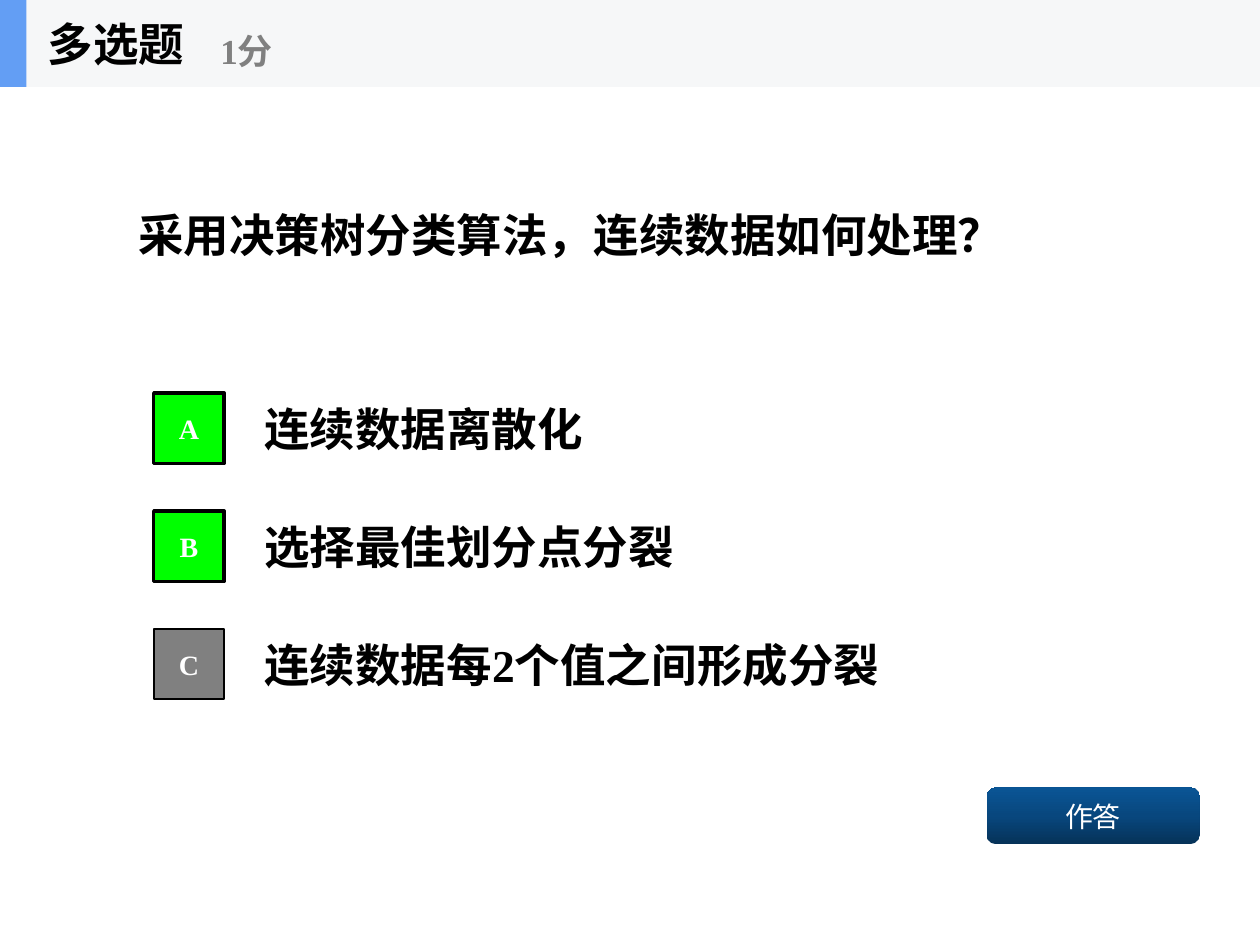
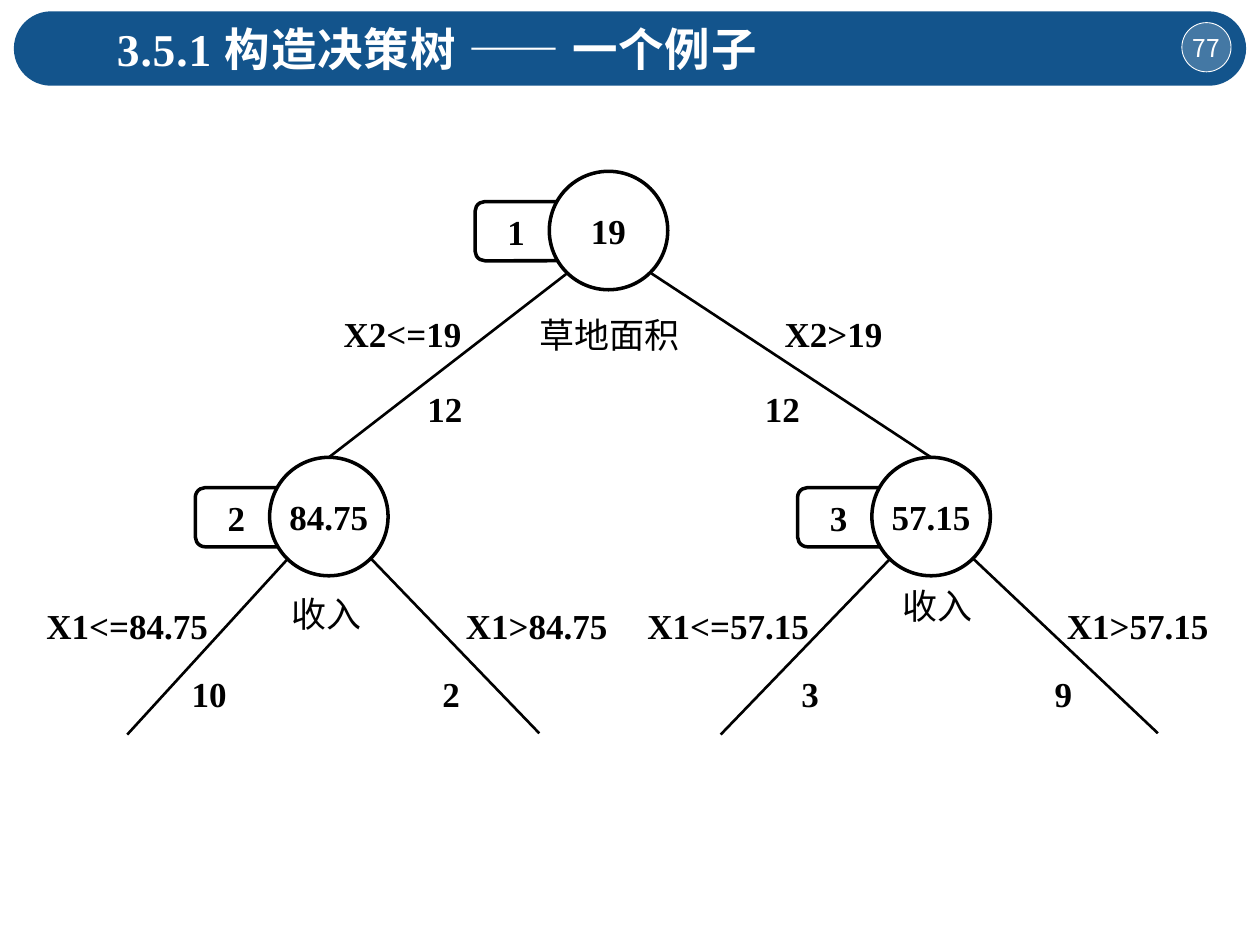
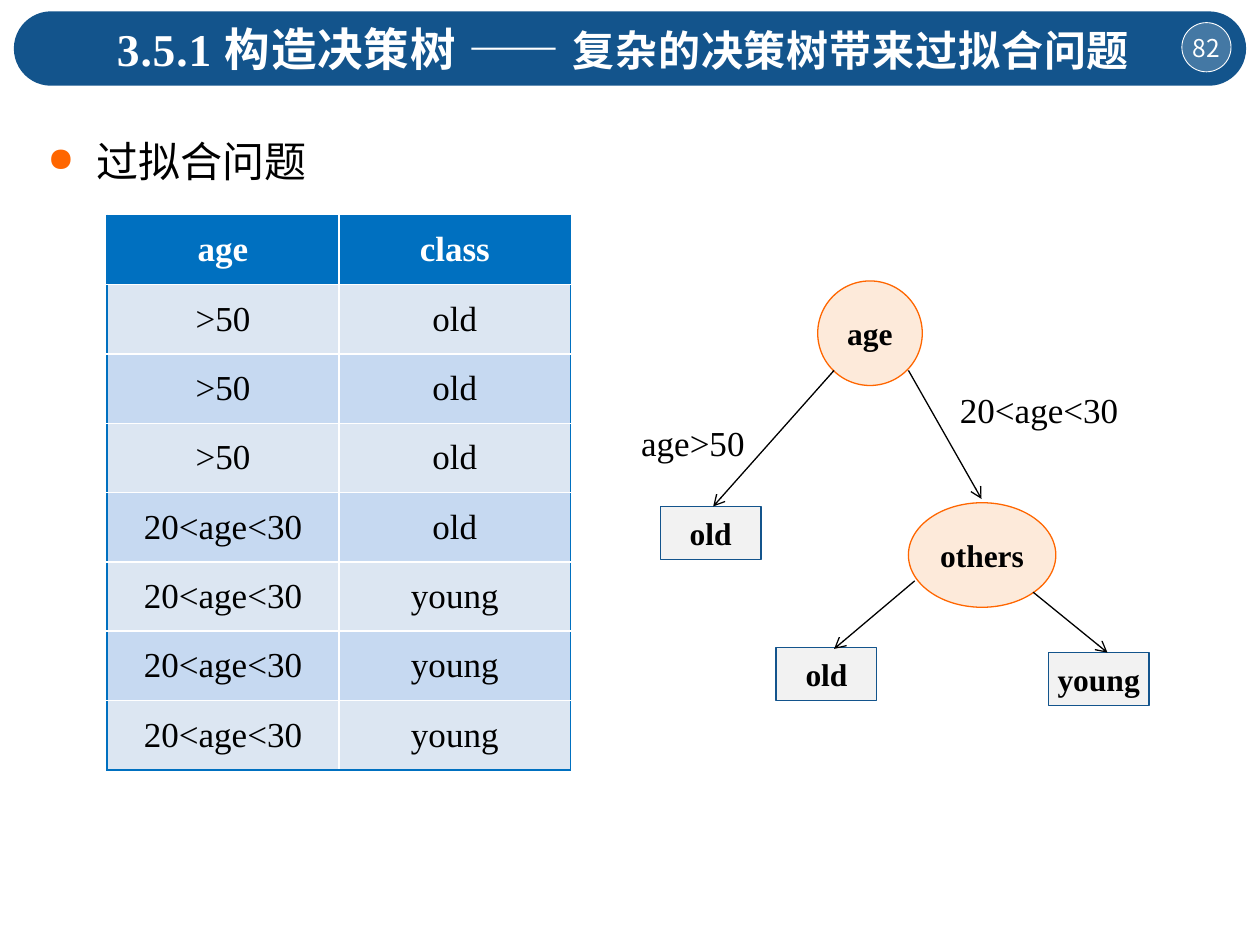
from copy import deepcopy
from dataclasses import dataclass, replace
from typing import NamedTuple, Optional

from lxml.etree import SubElement
from pptx import Presentation
from pptx.dml.color import RGBColor
from pptx.enum.shapes import MSO_CONNECTOR, MSO_SHAPE
from pptx.enum.text import MSO_ANCHOR, PP_ALIGN
from pptx.oxml.ns import qn
from pptx.util import Inches, Pt

BLACK, WHITE, GREY = "000000", "FFFFFF", "808080"
NAVY, ORANGE, TABLE_BLUE = "13548C", "FF6600", "0070C0"
GREEN, PEACH, PALE_GREY = "00FF00", "FDEADA", "F2F2F2"
ROW_BANDS = ("DCE6F2", "C6D9F1")
BUTTON_STOPS = ("063258", "08477E", "0A5595")
LATIN, CJK = "Times New Roman", "Noto Sans CJK SC"


class Box(NamedTuple):
    left: float
    top: float
    width: float
    height: float


class Point(NamedTuple):
    x: float
    y: float


@dataclass(frozen=True)
class Style:
    size: float
    bold: bool = False
    color: str = BLACK
    align: PP_ALIGN = PP_ALIGN.CENTER
    font: str = LATIN
    anchor: MSO_ANCHOR = MSO_ANCHOR.MIDDLE
    wrap: bool = True
    side_inset: float = 0.1
    spacing: float = 0


HEADING = Style(26, True, align=PP_ALIGN.LEFT)
TITLE = replace(HEADING, color=WHITE, anchor=MSO_ANCHOR.TOP, spacing=0.5)
PAGE = Style(14, color=WHITE, font=CJK, wrap=False, side_inset=0)
TREE = Style(20, True, wrap=False, side_inset=0)
LABEL = Style(20, True, anchor=MSO_ANCHOR.TOP, wrap=False)
TREE_18 = Style(18, True, wrap=False)


def rgb(color: str) -> RGBColor:
    return RGBColor.from_string(color)


def inches(values) -> list:
    return [Inches(value) for value in values]


def style_paragraph(paragraph, style: Style) -> None:
    paragraph.alignment = style.align
    font = paragraph.font
    font.name, font.size, font.bold = style.font, Pt(style.size), style.bold
    font.color.rgb = rgb(style.color)
    defaults = paragraph._p.pPr.find(qn("a:defRPr"))
    SubElement(defaults, qn("a:ea")).set("typeface", CJK)
    if style.spacing:
        defaults.set("spc", str(int(style.spacing * 100)))


def write(frame, text: str, style: Style):
    frame.word_wrap = style.wrap
    frame.vertical_anchor = style.anchor
    frame.margin_left = frame.margin_right = Inches(style.side_inset)
    paragraph = frame.paragraphs[0]
    paragraph.add_run().text = text
    style_paragraph(paragraph, style)
    return paragraph


def add_text(slide, box: Box, text: str, style: Style):
    return write(slide.shapes.add_textbox(*inches(box)).text_frame, text, style)


def add_shape(slide, kind, box: Box, fill: str, line: Optional[str] = None,
              weight: float = 1, text: str = "", style: Style = TREE):
    shape = slide.shapes.add_shape(kind, *inches(box))
    shape.shadow.inherit = False
    shape.fill.solid()
    shape.fill.fore_color.rgb = rgb(fill)
    if line:
        shape.line.color.rgb = rgb(line)
        shape.line.width = Pt(weight)
    else:
        shape.line.fill.background()
    if text:
        write(shape.text_frame, text, style)
    return shape


def add_line(slide, start: Point, end: Point, weight: float, arrow: bool = False) -> None:
    line = slide.shapes.add_connector(MSO_CONNECTOR.STRAIGHT, *inches(start + end))
    line.line.color.rgb = rgb(BLACK)
    line.line.width = Pt(weight)
    properties = line._element.spPr
    if arrow:
        SubElement(properties.find(qn("a:ln")), qn("a:tailEnd")).set("type", "arrow")
    SubElement(properties, qn("a:effectLst"))


def add_header(slide, page: str, topic: str, width: float, topic_size: float = 26) -> None:
    """Title band with a page badge."""
    band = add_shape(slide, MSO_SHAPE.ROUNDED_RECTANGLE, Box(0.11, 0.09, 9.78, 0.59), NAVY)
    band.adjustments[0] = 0.5
    badge = add_shape(slide, MSO_SHAPE.OVAL, Box(9.38, 0.18, 0.39, 0.39),
                      WHITE, WHITE, 0.5, page, PAGE)
    badge_color = badge._element.spPr.find(qn("a:solidFill")).find(qn("a:srgbClr"))
    SubElement(badge_color, qn("a:alpha")).set("val", "21000")
    title = add_text(slide, Box(0.83, 0.12, width, 0.54), "3.5.1 构造决策树 —— ", TITLE)
    topic_run = title.add_run()
    topic_run.text = topic
    if topic_size != TITLE.size:
        topic_run.font.size = Pt(topic_size)


# Slide 1: multiple-choice question
class Choice(NamedTuple):
    letter: str
    answer: str
    correct: bool


CHOICES = (
    Choice("A", "连续数据离散化", True),
    Choice("B", "选择最佳划分点分裂", True),
    Choice("C", "连续数据每2个值之间形成分裂", False),
)


def build_question(slide) -> None:
    add_text(slide, Box(1, 0.69, 8, 2.34), "采用决策树分类算法，连续数据如何处理？", HEADING)
    letter_style = Style(16, True, WHITE)
    for index, choice in enumerate(CHOICES):
        top = 3.05 + 0.935 * index
        add_text(slide, Box(2, top, 7, 0.7), choice.answer, HEADING)
        add_shape(slide, MSO_SHAPE.RECTANGLE, Box(1.22, top + 0.07, 0.56, 0.56),
                  GREEN if choice.correct else GREY, BLACK,
                  2 if choice.correct else 1, choice.letter, letter_style)

    # Answer button, dark at the bottom
    button = add_shape(slide, MSO_SHAPE.ROUNDED_RECTANGLE, Box(7.83, 6.25, 1.69, 0.45),
                       NAVY, text="作答", style=Style(16, color=WHITE))
    button.fill.gradient()
    button.fill.gradient_angle = 90
    first_stop = button._element.spPr.find(qn("a:gradFill")).find(qn("a:gsLst"))[0]
    first_stop.addnext(deepcopy(first_stop))
    for index, (stop, color) in enumerate(zip(button.fill.gradient_stops, BUTTON_STOPS)):
        stop.position = index / 2
        stop.color.rgb = rgb(color)

    # Question type strip
    add_shape(slide, MSO_SHAPE.RECTANGLE, Box(0, 0, 10, 0.69), "F6F7F8")
    add_shape(slide, MSO_SHAPE.RECTANGLE, Box(0, 0, 0.21, 0.69), "639EF4")
    add_text(slide, Box(0.28, 0, 2.08, 0.69), "多选题", HEADING)
    add_text(slide, Box(1.65, 0.12, 2.5, 0.56), "1分", replace(HEADING, size=20, color=GREY))


# Slide 2: example tree
class Node(NamedTuple):
    number: str
    split: str
    left: float
    top: float
    branch_ends: tuple


class Label(NamedTuple):
    text: str
    left: float
    top: float
    width: float
    bold: bool = True


NODES = (
    Node("1", "19", 4.36, 1.36, (Point(2.61, 3.63), Point(7.39, 3.63))),
    Node("2", "84.75", 2.14, 3.63, (Point(1.01, 5.83), Point(4.28, 5.82))),
    Node("3", "57.15", 6.92, 3.63, (Point(5.72, 5.83), Point(9.19, 5.82))),
)
LABELS = (
    Label("X2<=19", 2.62, 2.43, 1.15),
    Label("X2>19", 6.12, 2.43, 0.99),
    Label("12", 3.29, 3.03, 0.48),
    Label("12", 5.97, 3.03, 0.48),
    Label("草地面积", 4.18, 2.44, 1.32, False),
    Label("收入", 2.21, 4.65, 0.76, False),
    Label("收入", 7.06, 4.59, 0.76, False),
    Label("X1<=84.75", 0.26, 4.75, 1.5),
    Label("10", 1.42, 5.29, 0.48),
    Label("2", 3.34, 5.29, 0.48),
    Label("X1>84.75", 3.59, 4.75, 1.34),
    Label("X1<=57.15", 5.03, 4.75, 1.5),
    Label("3", 6.19, 5.29, 0.48),
    Label("9", 8.2, 5.29, 0.48),
    Label("X1>57.15", 8.36, 4.75, 1.34),
)


def build_example_tree(slide) -> None:
    add_header(slide, "77", "一个例子", 5.84)
    for node in NODES:
        tag = add_shape(slide, MSO_SHAPE.ROUNDED_RECTANGLE,
                        Box(node.left - 0.59, node.top + 0.24, 0.75, 0.47),
                        WHITE, BLACK, 2, node.number)
        tag.text_frame.margin_right = Inches(0.1)
        add_shape(slide, MSO_SHAPE.OVAL, Box(node.left, node.top, 0.94, 0.94),
                  WHITE, BLACK, 2, node.split)
        for offset, end in zip((0.14, 0.81), node.branch_ends):
            add_line(slide, Point(node.left + offset, node.top + 0.81), end, 1.5)
    for label in LABELS:
        add_text(slide, Box(label.left, label.top, label.width, 0.44), label.text,
                 replace(LABEL, bold=label.bold))


# Slide 3: overfitting
RECORDS = (
    ("age", "class"),
    *[(">50", "old")] * 3,
    ("20<age<30", "old"),
    *[("20<age<30", "young")] * 3,
)
DECISIONS = (("age", Box(6.49, 2.23, 0.83, 0.83)), ("others", Box(7.21, 3.99, 1.17, 0.83)))
LEAVES = (("old", 5.24, 4.02), ("old", 6.16, 5.14), ("young", 8.32, 5.18))
ARROWS = (
    (Point(6.62, 2.94), Point(5.66, 4.02)),
    (Point(7.21, 2.94), Point(7.79, 3.96)),
    (Point(7.26, 4.61), Point(6.62, 5.15)),
    (Point(8.2, 4.7), Point(8.79, 5.18)),
)
CONDITIONS = (("age>50", Box(4.99, 3.29, 1.05, 0.44)), ("20<age<30", Box(7.52, 3.03, 1.95, 0.44)))


def set_borders(cell, outer_sides: dict) -> None:
    properties = cell._tc.get_or_add_tcPr()
    for index, (side, outer) in enumerate(outer_sides.items()):
        border = SubElement(properties, qn(f"a:ln{side}"), w=str(Pt(1)))
        fill = SubElement(border, qn("a:solidFill"))
        SubElement(fill, qn("a:srgbClr")).set("val", TABLE_BLUE if outer else WHITE)
        properties.insert(index, border)


def add_records(slide) -> None:
    rows, columns = len(RECORDS), len(RECORDS[0])
    table = slide.shapes.add_table(rows, columns, *inches(Box(0.85, 1.71, 3.68, 4.4))).table
    for row, record in enumerate(RECORDS):
        for column, value in enumerate(record):
            cell = table.cell(row, column)
            header = row == 0
            write(cell.text_frame, value, Style(20, header, WHITE if header else BLACK))
            cell.vertical_anchor = MSO_ANCHOR.MIDDLE
            cell.fill.solid()
            cell.fill.fore_color.rgb = rgb(TABLE_BLUE if header else ROW_BANDS[(row - 1) % 2])
            set_borders(cell, {"L": column == 0, "R": column == columns - 1,
                               "T": header, "B": row == rows - 1})


def add_bullet(paragraph) -> None:
    properties = paragraph._p.get_or_add_pPr()
    properties.set("marL", str(Inches(0.39)))
    properties.set("indent", str(-Inches(0.39)))
    bullet_color = SubElement(properties, qn("a:buClr"))
    SubElement(bullet_color, qn("a:srgbClr")).set("val", ORANGE)
    SubElement(properties, qn("a:buSzPct")).set("val", "80000")
    SubElement(properties, qn("a:buChar")).set("char", "●")


def build_overfitting(slide) -> None:
    add_header(slide, "82", "复杂的决策树带来过拟合问题", 8.76, 24)
    add_records(slide)

    # Tree that fits the records too closely
    for text, box in DECISIONS:
        add_shape(slide, MSO_SHAPE.OVAL, box, PEACH, ORANGE, 0.75, text, TREE_18)
    for text, left, top in LEAVES:
        add_shape(slide, MSO_SHAPE.RECTANGLE, Box(left, top, 0.8, 0.42),
                  PALE_GREY, NAVY, 0.75, text, TREE_18)
    for start, end in ARROWS:
        add_line(slide, start, end, 0.75, arrow=True)
    for text, box in CONDITIONS:
        add_text(slide, box, text, Style(20, align=PP_ALIGN.LEFT))

    # Bulleted topic
    frame = slide.shapes.add_textbox(*inches(Box(0.28, 0.83, 9.1, 0.64))).text_frame
    topic = frame.paragraphs[0]
    topic.line_spacing = 1.5
    add_bullet(topic)
    write(frame, "过拟合问题", Style(24, align=PP_ALIGN.JUSTIFY, anchor=MSO_ANCHOR.TOP))


def main() -> None:
    presentation = Presentation()
    presentation.slide_width, presentation.slide_height = Inches(10), Inches(7.5)
    blank = presentation.slide_layouts[6]
    for build in (build_question, build_example_tree, build_overfitting):
        build(presentation.slides.add_slide(blank))
    presentation.save("out.pptx")


if __name__ == "__main__":
    main()
